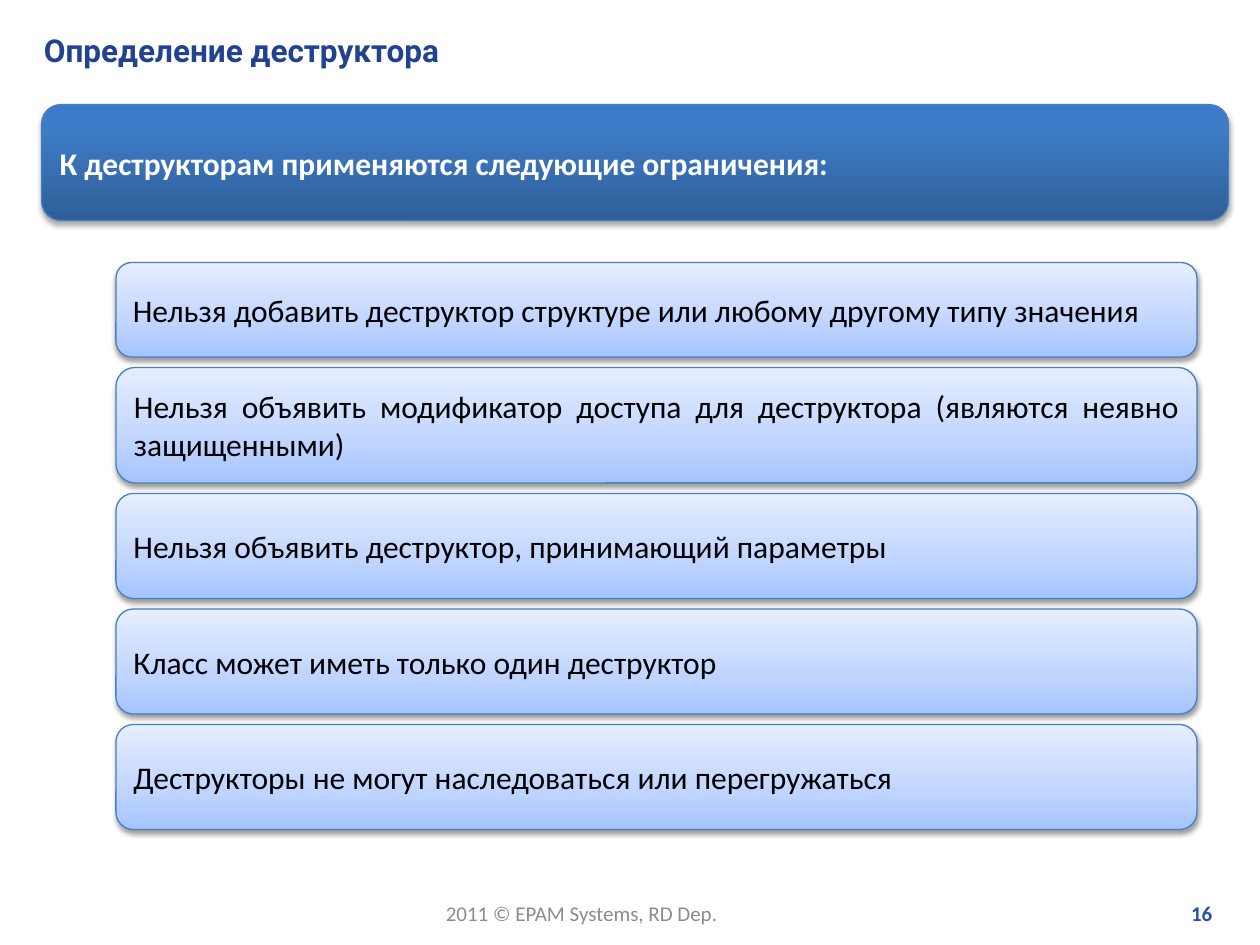
from pptx import Presentation
from pptx.dml.color import RGBColor as RGB
from pptx.enum.shapes import MSO_SHAPE as Shape
from pptx.enum.text import MSO_ANCHOR as Anchor, MSO_AUTO_SIZE as Auto, PP_ALIGN as Align
from pptx.oxml import parse_xml
from pptx.oxml.ns import nsdecls
from pptx.util import Inches, Pt

# Content
TITLE = "Определение деструктора"
HEAD = "К деструкторам применяются следующие ограничения:"
# text, height in twelfths of an inch, space after, hanging indent
RULES = [
    ("Нельзя добавить деструктор структуре или любому другому типу значения", 9, 10, 0),
    ("Нельзя объявить модификатор доступа для деструктора (являются неявно защищенными)", 11, 0, 0),
    ("Нельзя объявить деструктор, принимающий параметры", 10, 0, 0.39),
    ("Класс может иметь только один деструктор", 10, 0, 0.39),
    ("Деструкторы не могут наследоваться или перегружаться", 10, 0, 0.39),
]
NOTE = "2011 © EPAM Systems, RD Dep."
PAGE = "16"

THEME = {
    "font": "Calibri", "title_font": "Roboto",
    "size": 18, "small": 12,
    "title": "21438F", "note": "8C8C8C", "page": "2750AB",
    "light": "FFFFFF", "dark": "000000", "line": "4B7EBC",
    # gradient stops from bottom to top, then shadow strength and distance
    "head": ([(0, "2F5F99"), (80, "3D7CC7"), (100, "3A7CCB")], 35, 1.8),
    "rule": ([(0, "A4C4FF"), (35, "BFD4FF"), (100, "E6EEFF")], 38, 1.6),
}
UNIT = 1 / 12


def write(frame, text, color, size, bold=False, align=None, font=THEME["font"]):
    frame.text = text
    para = frame.paragraphs[0]
    para.alignment = align
    face = para.runs[0].font
    face.name, face.size, face.bold = font, Pt(size), bold
    face.color.rgb = RGB.from_string(color)
    return para


def label(box, text, color, size, wrap=True, auto=Auto.SHAPE_TO_FIT_TEXT, **style):
    frame = slide.shapes.add_textbox(*map(Inches, box)).text_frame
    frame.word_wrap = wrap
    frame.auto_size = auto
    write(frame, text, color, size, **style)


def panel(box, look, text, color, bold=False, after=0, hang=0):
    stops, alpha, dist = look
    shape = slide.shapes.add_shape(Shape.ROUNDED_RECTANGLE, *map(Inches, box))
    props = shape.element.spPr

    # Gradient, outline and soft shadow
    marks = "".join(
        f'<a:gs pos="{pos * 1000}"><a:srgbClr val="{tone}"/></a:gs>' for pos, tone in stops)
    props.append(parse_xml(
        f'<a:gradFill {nsdecls("a")} rotWithShape="1"><a:gsLst>{marks}</a:gsLst>'
        '<a:lin ang="16200000" scaled="0"/></a:gradFill>'))
    shape.line.color.rgb = RGB.from_string(THEME["line"])
    shape.line.width = Pt(0.75)
    props.append(parse_xml(
        f'<a:effectLst {nsdecls("a")}><a:outerShdw blurRad="{Pt(3.1)}" dist="{Pt(dist)}" '
        f'dir="5400000" rotWithShape="0"><a:srgbClr val="000000">'
        f'<a:alpha val="{alpha * 1000}"/></a:srgbClr></a:outerShdw></a:effectLst>'))

    # Text
    frame = shape.text_frame
    frame.word_wrap = True
    frame.vertical_anchor = Anchor.MIDDLE
    para = write(frame, text, color, THEME["size"], bold, Align.JUSTIFY)
    para.space_after = Pt(after)
    if hang:
        indent = para._p.get_or_add_pPr()
        indent.set("marL", str(Inches(hang)))
        indent.set("indent", str(-Inches(hang)))


deck = Presentation()
deck.slide_width, deck.slide_height = Inches(10), Inches(7.5)
slide = deck.slides.add_slide(deck.slide_layouts[6])

# Footer
label((3.44, 7.1, 2.39, 0.3), NOTE, THEME["note"], THEME["small"], wrap=False)
label((7.6, 7.1, 2.12, 0.3), PAGE, THEME["page"], THEME["small"], bold=True, align=Align.RIGHT)

# Title and heading
label((0.25, 0.2, 9.54, 0.4), TITLE, THEME["title"], THEME["size"], auto=Auto.NONE,
      bold=True, font=THEME["title_font"])
panel((0.33, 0.83, 9.42, 0.92), THEME["head"], HEAD, THEME["light"], bold=True, after=10)

# Stack of rules, one unit apart
top = 25 * UNIT
for text, units, after, hang in RULES:
    high = units * UNIT
    panel((0.92, top, 8.58, high), THEME["rule"], text, THEME["dark"], after=after, hang=hang)
    top += high + UNIT

deck.save("out.pptx")
